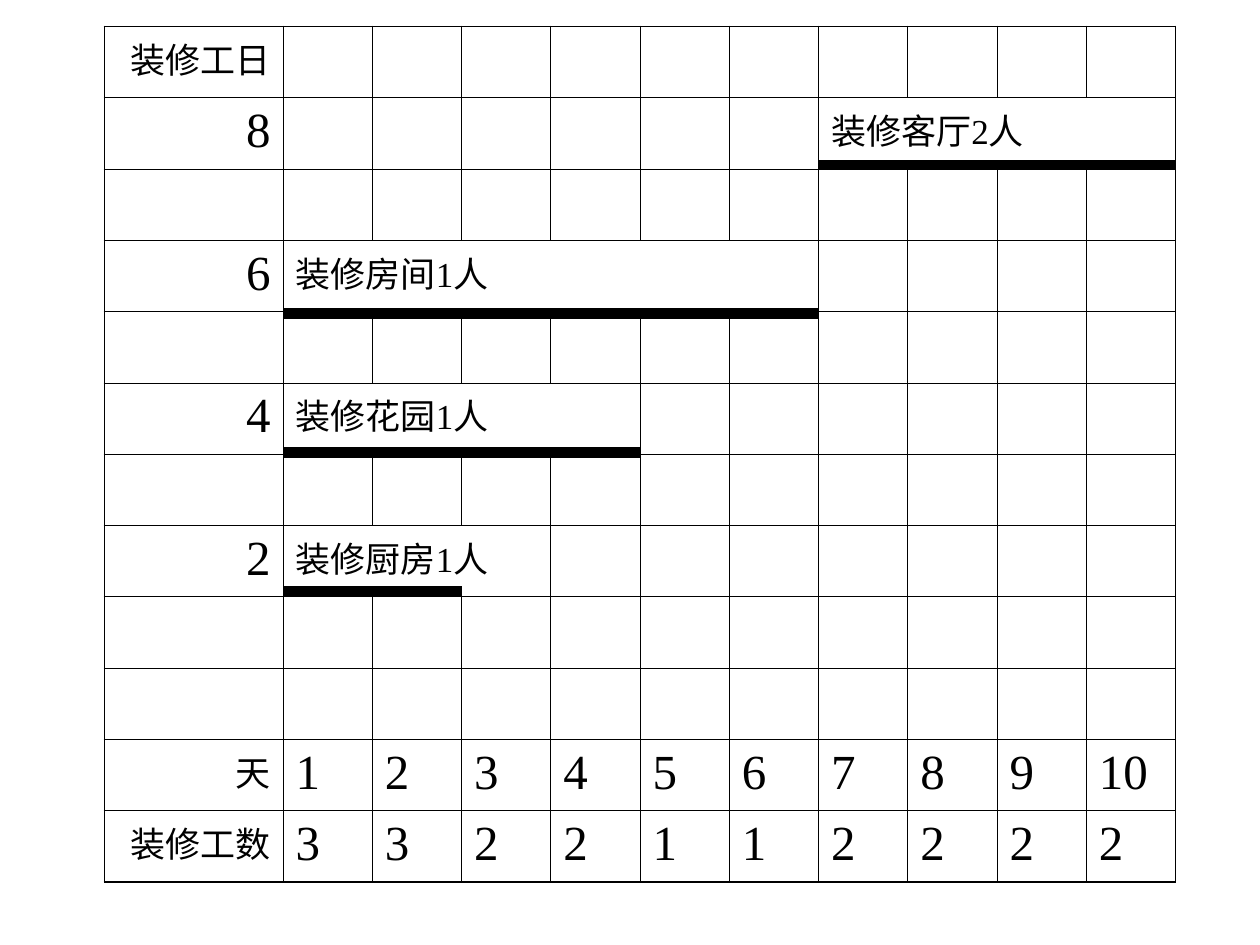
from lxml import etree
from pptx import Presentation
from pptx.dml.color import RGBColor
from pptx.enum.shapes import MSO_CONNECTOR
from pptx.enum.text import PP_ALIGN
from pptx.oxml.ns import qn
from pptx.util import Inches, Pt

LEFT, RIGHT = PP_ALIGN.LEFT, PP_ALIGN.RIGHT
STRAIGHT = MSO_CONNECTOR.STRAIGHT

COLORS = {"ink": "000000"}
FONT = "Times New Roman"
WORD_SIZE, NUMBER_SIZE = 20, 28
THIN, THICK, BAR = 0.45, 1.08, 6

ROW_LABELS = ["装修工日", "8", "", "6", "", "4", "", "2", "", "", "天", "装修工数"]
DAYS = list(range(1, 11))
WORKERS = [3, 3, 2, 2, 1, 1, 2, 2, 2, 2]
DAY_ROW, WORKER_ROW = 10, 11
# text, table row, first day, days in the merged cell, days of work, bar height on the page
TASKS = [
    ("装修厨房1人", 7, 1, 3, 2, 4.69),
    ("装修花园1人", 5, 1, 4, 4, 3.59),
    ("装修房间1人", 3, 1, 6, 6, 2.49),
    ("装修客厅2人", 1, 7, 4, 4, 1.31),
]

TABLE_LEFT, TABLE_TOP, TABLE_WIDTH, TABLE_HEIGHT = 0.83, 0.21, 8.5, 6.79
ROWS, COLUMNS = len(ROW_LABELS), len(DAYS) + 1
DAY_WIDTH = TABLE_WIDTH / (COLUMNS + 1)  # the label column is two days wide
ROW_HEIGHT = TABLE_HEIGHT / ROWS


def day_left(day):
    return TABLE_LEFT + DAY_WIDTH * (day + 1)


def write(cell, text, align=LEFT):
    """Fill a cell, with numbers larger than words."""
    para = cell.text_frame.paragraphs[0]
    para.alignment = align
    span = para.add_run()
    span.text = text
    span.font.name = FONT
    span.font.size = Pt(NUMBER_SIZE if text.isdigit() else WORD_SIZE)
    span.font.color.rgb = RGBColor.from_string(COLORS["ink"])


def add_borders(cell, widths):
    """Draw the cell's edges, given as left, right, top and bottom points."""
    properties = cell._tc.get_or_add_tcPr()
    for index, (edge, width) in enumerate(zip(("lnL", "lnR", "lnT", "lnB"), widths)):
        line = etree.Element(qn("a:" + edge), w=str(Pt(width)))
        fill = etree.SubElement(line, qn("a:solidFill"))
        etree.SubElement(fill, qn("a:srgbClr"), val=COLORS["ink"])
        properties.insert(index, line)


def add_schedule(page):
    frame = page.shapes.add_table(ROWS, COLUMNS, Inches(TABLE_LEFT), Inches(TABLE_TOP),
                                  Inches(TABLE_WIDTH), Inches(TABLE_HEIGHT))
    table = frame.table
    table.first_row = table.horz_banding = False
    for index, column in enumerate(table.columns):
        column.width = Inches(DAY_WIDTH * (1 if index else 2))
    for row in table.rows:
        row.height = Inches(ROW_HEIGHT)

    for row, label in enumerate(ROW_LABELS):
        if label:
            write(table.cell(row, 0), label, align=RIGHT)
    for row, values in ((DAY_ROW, DAYS), (WORKER_ROW, WORKERS)):
        for day, value in zip(DAYS, values):
            write(table.cell(row, day), str(value))
    for text, row, start, merged, _, _ in TASKS:
        table.cell(row, start).merge(table.cell(row, start + merged - 1))
        write(table.cell(row, start), text)

    for row in range(ROWS):
        for column in range(COLUMNS):
            cell = table.cell(row, column)
            cell.fill.background()
            if cell.is_spanned:
                continue
            last = column + (cell.span_width if cell.is_merge_origin else 1)
            outer = (column == 0, last == COLUMNS, row == 0, row == ROWS - 1)
            add_borders(cell, [THICK if edge else THIN for edge in outer])


def add_bar(page, start, days, top):
    bar = page.shapes.add_connector(STRAIGHT, Inches(day_left(start)), Inches(top),
                                    Inches(day_left(start + days)), Inches(top))
    bar.line.color.rgb = RGBColor.from_string(COLORS["ink"])
    bar.line.width = Pt(BAR)
    etree.SubElement(bar._element.spPr, qn("a:effectLst"))


def main():
    deck = Presentation()
    deck.slide_width, deck.slide_height = Inches(10), Inches(7.5)
    page = deck.slides.add_slide(deck.slide_layouts[6])
    add_schedule(page)
    for _, _, start, _, days, top in TASKS:
        add_bar(page, start, days, top)
    deck.save("out.pptx")


if __name__ == "__main__":
    main()
